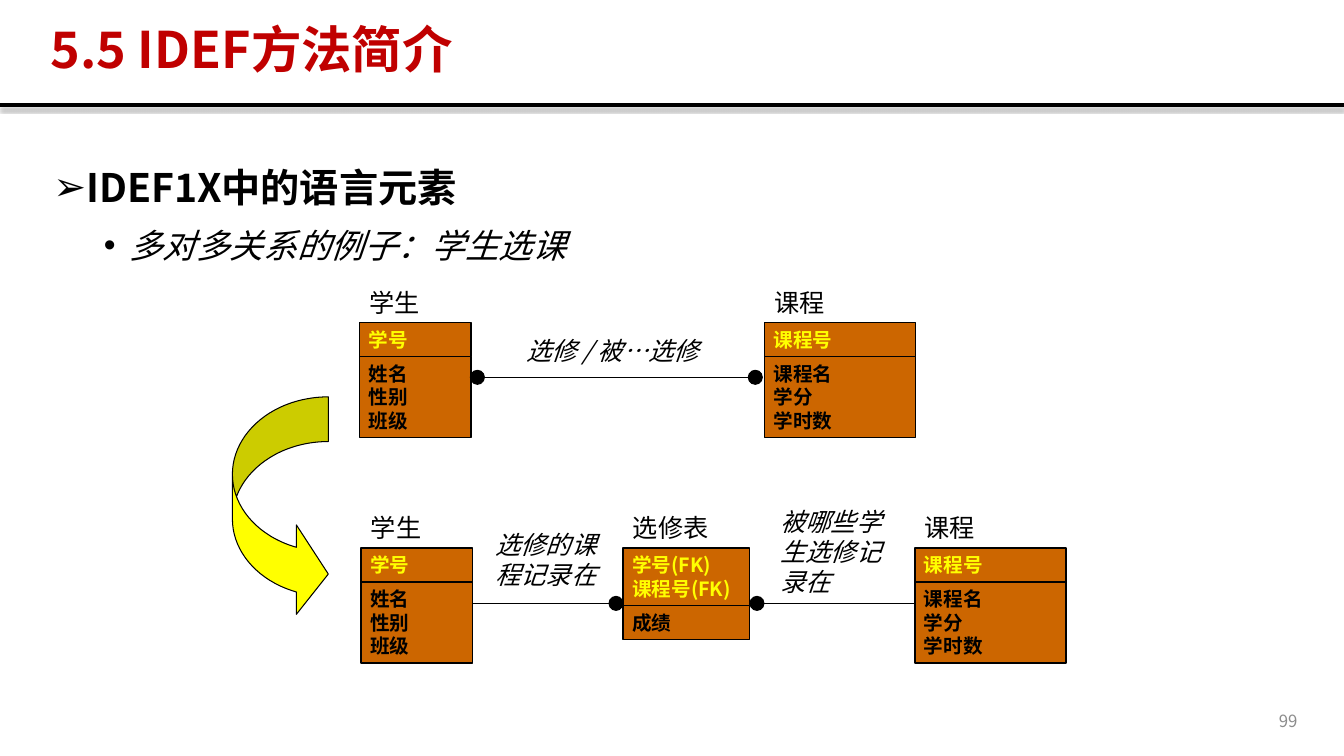
import pptx
import pptx.util
import pptx.dml.color
import pptx.enum.shapes
import pptx.enum.text
import pptx.oxml
import pptx.oxml.ns
import lxml.etree

Pt = pptx.util.Pt
SHAPE = pptx.enum.shapes.MSO_SHAPE
ALIGN = pptx.enum.text.PP_ALIGN
ANCHOR = pptx.enum.text.MSO_ANCHOR
FONT = "Noto Sans CJK SC"
LINE_H, PAD = 16.8, 7.4  # row height and vertical padding of entity boxes
DOT = 10


def rgb(value):
    return pptx.dml.color.RGBColor.from_string(value)


def add_xml(parent, tag, **attrs):
    el = lxml.etree.SubElement(parent, pptx.oxml.ns.qn(tag))
    for key, value in attrs.items():
        el.set(key, value)
    return el


def add_run(p, text, size, color="000000", bold=False, italic=False):
    r = p.add_run()
    r.text = text
    r.font.name = FONT
    r.font.size = Pt(size)
    r.font.color.rgb = rgb(color)
    r.font.bold = bold
    r.font.italic = italic
    add_xml(r._r.get_or_add_rPr(), "a:ea", typeface=FONT)


def set_frame(tf, anchor=ANCHOR.TOP, side=7.2, edge=3.6):
    tf.word_wrap = True
    tf.auto_size = pptx.enum.text.MSO_AUTO_SIZE.NONE
    tf.vertical_anchor = anchor
    tf.margin_left = tf.margin_right = Pt(side)
    tf.margin_top = tf.margin_bottom = Pt(edge)


def place(sp, left, top, width, height):
    sp.left, sp.top, sp.width, sp.height = Pt(left), Pt(top), Pt(width), Pt(height)


def add_text(s, text, left, top, width, height, size=18, color="000000",
             italic=False, side=7.2, align=ALIGN.LEFT, anchor=ANCHOR.TOP):
    sp = s.shapes.add_textbox(Pt(left), Pt(top), Pt(width), Pt(height))
    set_frame(sp.text_frame, anchor, side)
    p = sp.text_frame.paragraphs[0]
    p.alignment = align
    add_run(p, text, size, color, italic=italic)


def add_block(s, kind, left, top, width, height, fill, line_width):
    sp = s.shapes.add_shape(kind, Pt(left), Pt(top), Pt(width), Pt(height))
    sp.shadow.inherit = False
    sp.fill.solid()
    sp.fill.fore_color.rgb = rgb(fill)
    sp.line.color.rgb = rgb("000000")
    sp.line.width = Pt(line_width)
    return sp


def add_line(s, x1, x2, y, width=0.75):
    line = s.shapes.add_connector(
        pptx.enum.shapes.MSO_CONNECTOR.STRAIGHT, Pt(x1), Pt(y), Pt(x2), Pt(y))
    line.line.color.rgb = rgb("000000")
    line.line.width = Pt(width)
    return add_xml(line._element.spPr, "a:effectLst")


def add_dot(s, left, center_y):
    add_block(s, SHAPE.OVAL, left, center_y - DOT / 2, DOT, DOT, "000000", 0.75)


def add_entity(s, name, left, top, width, keys, fields):
    """Entity name above a key box and a field box."""
    add_text(s, name, left, top - 28.8, 80, 28.8)
    for rows, color in ((keys, "FFFF00"), (fields, "000000")):
        height = PAD + LINE_H * len(rows)
        sp = add_block(s, SHAPE.RECTANGLE, left, top, width, height, "CC6600", 1)
        tf = sp.text_frame
        set_frame(tf, ANCHOR.MIDDLE, 6.5)
        for i, row in enumerate(rows):
            p = tf.add_paragraph() if i else tf.paragraphs[0]
            p.alignment = ALIGN.LEFT
            add_run(p, row, 14, color, bold=True)
        top += height


def add_student(s, left, top):
    add_entity(s, "学生", left, top, 79.5, ["学号"], ["姓名", "性别", "班级"])


def add_course(s, left, top):
    add_entity(s, "课程", left, top, 108, ["课程号"], ["课程名", "学分", "学时数"])


def add_header(s):
    effects = add_line(s, 0, 960, 75, 3)
    shadow = add_xml(effects, "a:outerShdw", blurRad=str(Pt(1.8)),
                     dist=str(Pt(3.1)), dir="5400000", rotWithShape="0")
    color = add_xml(shadow, "a:srgbClr", val="000000")
    add_xml(color, "a:alpha", val="35000")
    sp = s.shapes.title
    place(sp, 29, 13.5, 842, 47)
    set_frame(sp.text_frame, ANCHOR.MIDDLE)
    p = sp.text_frame.paragraphs[0]
    p.alignment = ALIGN.JUSTIFY
    p.line_spacing = 0.9
    add_run(p, "5.5 IDEF方法简介", 36, "C00000", bold=True)


def add_bullet(p, text, char, size, indent, spacing, before, level=0, **style):
    p.level = level
    pPr = p._p.get_or_add_pPr()
    pPr.set("marL", str(Pt(indent)))
    pPr.set("indent", str(-Pt(18)))
    add_xml(pPr, "a:buFont", typeface="Arial")
    add_xml(pPr, "a:buChar", char=char)
    p.alignment = ALIGN.JUSTIFY
    p.line_spacing = spacing
    p.space_before = Pt(before)
    add_run(p, text, size, **style)


def add_body(s):
    sp = s.placeholders[1]
    place(sp, 31, 96, 902, 390)
    tf = sp.text_frame
    set_frame(tf)
    add_bullet(tf.paragraphs[0], "IDEF1X中的语言元素", "➢", 28, 18, 1.5, 0, bold=True)
    add_bullet(tf.add_paragraph(), "多对多关系的例子：学生选课", "•", 24, 54, 1.2, 5,
               level=1, italic=True)


def main():
    prs = pptx.Presentation()
    prs.slide_width, prs.slide_height = Pt(960), Pt(540)
    s = prs.slides.add_slide(prs.slide_layouts[1])
    add_header(s)
    add_body(s)
    add_text(s, "99", 718, 500.5, 216, 28.8, 12, "8C8C8C",
             align=ALIGN.RIGHT, anchor=ANCHOR.MIDDLE)

    # Many-to-many relation
    add_student(s, 257, 230.4)
    add_course(s, 546, 230.4)
    add_line(s, 342, 535, 269.5)
    add_dot(s, 336, 269.5)
    add_dot(s, 534.5, 269.5)
    add_text(s, "选修 / 被…选修", 376, 236, 136, 28.8, italic=True, side=0)

    # Relation resolved through an enrolment table
    add_student(s, 257.8, 391.5)
    add_entity(s, "选修表", 445, 391.5, 90.5, ["学号(FK)", "课程号(FK)"], ["成绩"])
    add_course(s, 653.5, 391.5)
    add_line(s, 337, 439, 431)
    add_line(s, 546, 653.5, 431)
    add_dot(s, 435, 431)
    add_dot(s, 535.7, 431)
    add_text(s, "选修的课程记录在", 354, 374.5, 85, 50, italic=True, side=0)
    add_text(s, "被哪些学生选修记录在", 557.5, 358, 85, 72, italic=True, side=0)

    # Arrow from the first model to the second
    arrow = add_block(s, SHAPE.CURVED_RIGHT_ARROW, 166, 283.5, 68.5, 158.5, "FFFF00", 0.75)
    for i, value in enumerate((0.466, 0.932, 0.333)):
        arrow.adjustments[i] = value

    prs.save("out.pptx")


if __name__ == "__main__":
    main()
